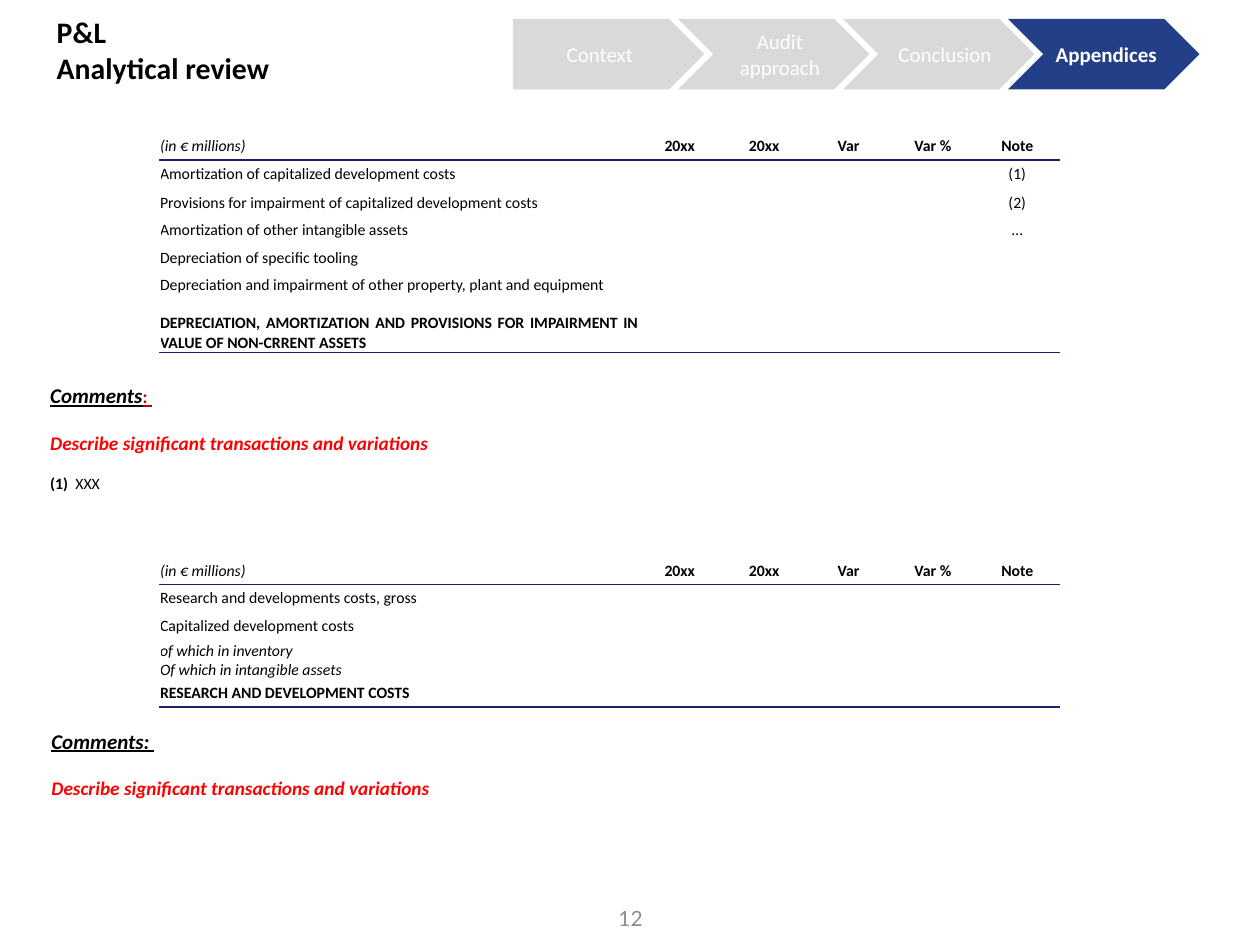
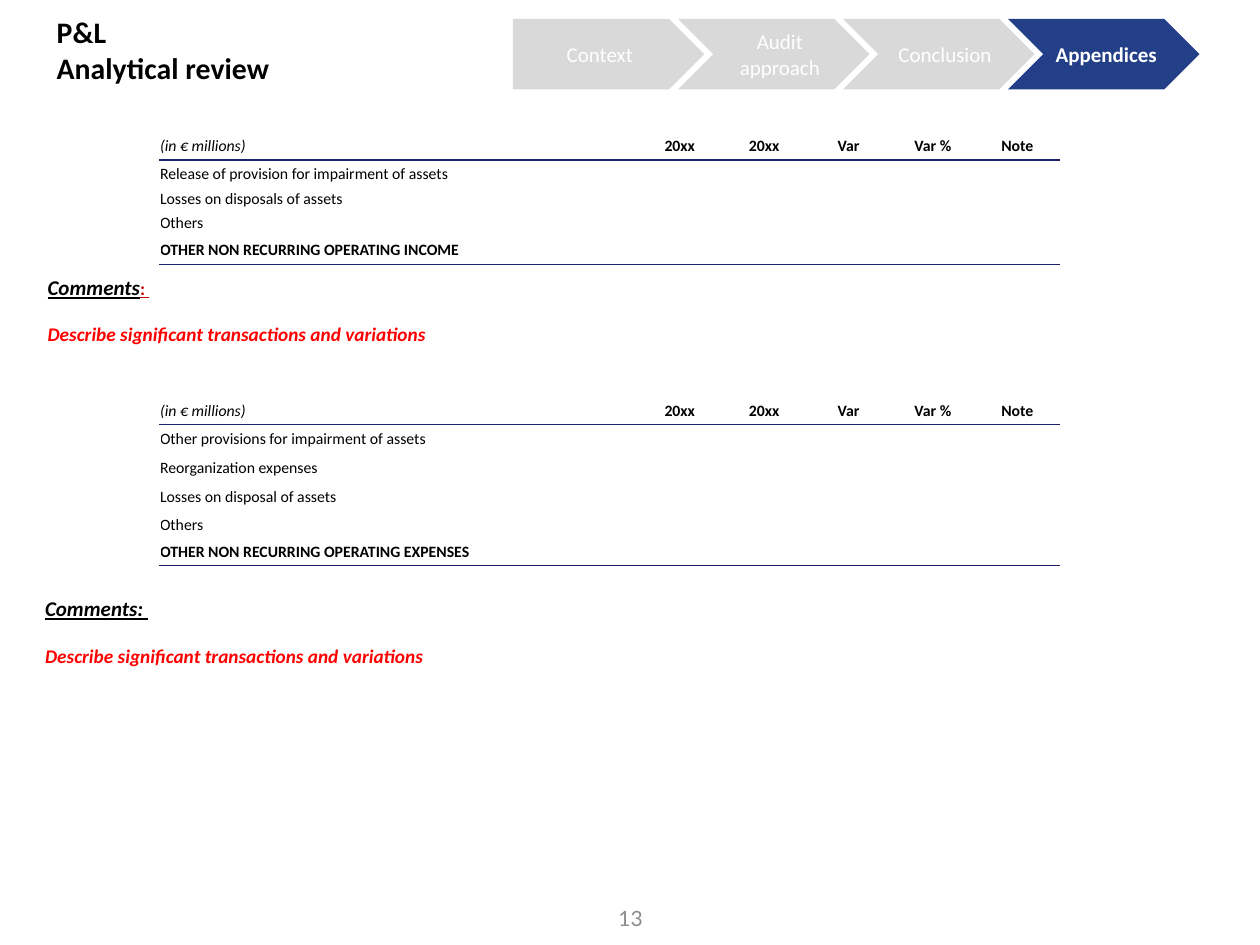
"""Build two appendix slides of an analytical review: tables, comments and a progress band."""
from dataclasses import dataclass

from lxml.etree import SubElement
from pptx import Presentation
from pptx.dml.color import RGBColor
from pptx.enum.shapes import MSO_SHAPE as Preset
from pptx.enum.text import MSO_ANCHOR as Anchor, MSO_AUTO_SIZE as AutoSize, PP_ALIGN as Align
from pptx.oxml.ns import qn
from pptx.util import Inches, Pt

BLACK, WHITE, RED, DARK_RED = "000000", "FFFFFF", "FF0000", "C00000"
NAVY, BLUE, PALE_GREY, PAGE_GREY = "1F206A", "223F87", "D9D9D9", "8C8C8C"
BODY_FONT, PAGE_FONT = "Calibri", "Lato"
TITLE_LINES = ("P&L", "Analytical review")
STEPS = ("Context", "Audit approach", "Conclusion", "Appendices")
CURRENT_STEP = "Appendices"
STEP_LEFT, STEP_PITCH = 4.07, 1.31
TABLE_LEFT, LABEL_WIDTH, VALUE_WIDTH = 1.27, 3.79, 0.67
VALUE_HEADINGS = ("20xx", "20xx", "Var", "Var %", "Note")
PROMPT = "Describe significant transactions and variations"


@dataclass(frozen=True)
class Line:
    """One table line below the heading."""
    label: str
    height: float
    note: str = ""
    bold: bool = False
    italic: bool = False


@dataclass(frozen=True)
class Review:
    """A table with the comments that belong to it."""
    table_top: float
    lines: tuple[Line, ...]
    comments_left: float
    comments_top: float
    red_colon: bool = False
    remark: str = ""


@dataclass(frozen=True)
class Page:
    """The page number and the reviews of one slide."""
    number: int
    reviews: tuple[Review, ...]


PAGES = (
    Page(12, (
        Review(1.05, (
            Line("Amortization of capitalized development costs", 0.23, "(1)"),
            Line("Provisions for impairment of capitalized development costs", 0.22, "(2)"),
            Line("Amortization of other intangible assets", 0.21, "…"),
            Line("Depreciation of specific tooling", 0.24),
            Line("Depreciation and impairment of other property, plant and equipment", 0.19),
            Line("", 0.13),
            Line("DEPRECIATION, AMORTIZATION AND PROVISIONS FOR IMPAIRMENT IN VALUE OF "
                 "NON-CRRENT ASSETS", 0.31, bold=True),
        ), 0.3, 2.99, red_colon=True, remark="XXX"),
        Review(4.42, (
            Line("Research and developments costs, gross", 0.21),
            Line("Capitalized development costs", 0.24),
            Line("of which in inventory", 0.15, italic=True),
            Line("Of which in intangible assets", 0.15, italic=True),
            Line("RESEARCH AND DEVELOPMENT COSTS", 0.22, bold=True),
        ), 0.31, 5.73),
    )),
    Page(13, (
        Review(1.05, (
            Line("Release of provision for impairment of assets", 0.23),
            Line("Losses on disposals of assets", 0.16),
            Line("Others", 0.22),
            Line("OTHER NON RECURRING OPERATING INCOME", 0.22, bold=True),
        ), 0.28, 2.13, red_colon=True),
        Review(3.15, (
            Line("Other provisions for impairment of assets", 0.23),
            Line("Reorganization expenses", 0.23),
            Line("Losses on disposal of assets", 0.23),
            Line("Others", 0.21),
            Line("OTHER NON RECURRING OPERATING EXPENSES", 0.22, bold=True),
        ), 0.26, 4.68),
    )),
)


def rgb(colour: str) -> RGBColor:
    """Turn a hex string into a colour."""
    return RGBColor.from_string(colour)


def style(font, size: float, colour: str = BLACK, bold: bool = False, italic: bool = False,
          underline: bool = False, name: str = BODY_FONT) -> None:
    """Format the font of a paragraph or a run."""
    font.name, font.size = name, Pt(size)
    font.bold, font.italic, font.underline = bold, italic, underline
    font.color.rgb = rgb(colour)


def add_run(paragraph, text: str, size: float, **options) -> None:
    """Append a formatted run to a paragraph."""
    run = paragraph.add_run()
    run.text = text
    style(run.font, size, **options)


def add_text_box(slide, left: float, top: float, width: float, height: float):
    """Add a wrapping text box and return its text frame."""
    box = slide.shapes.add_textbox(Inches(left), Inches(top), Inches(width), Inches(height))
    box.text_frame.word_wrap = True
    return box.text_frame


def draw_title(slide) -> None:
    """Move and format the title placeholder."""
    title = slide.shapes.title
    title.left, title.top = Inches(0.35), Inches(0.06)
    title.width, title.height = Inches(9.17), Inches(0.93)
    frame = title.text_frame
    frame.text = "\n".join(TITLE_LINES)
    frame.vertical_anchor, frame.auto_size = Anchor.TOP, AutoSize.NONE
    for paragraph in frame.paragraphs:
        paragraph.alignment = Align.LEFT
        style(paragraph.font, 17, bold=True)


def draw_steps(slide) -> None:
    """Draw the band of arrows with the current step highlighted."""
    for index, step in enumerate(STEPS):
        current = step == CURRENT_STEP
        shape = slide.shapes.add_shape(
            Preset.CHEVRON if index else Preset.PENTAGON,
            Inches(STEP_LEFT + index * STEP_PITCH), Inches(0.15), Inches(1.52), Inches(0.56))
        shape.shadow.inherit = False
        shape.fill.solid()
        shape.fill.fore_color.rgb = rgb(BLUE if current else PALE_GREY)
        shape.line.fill.background()
        frame = shape.text_frame
        frame.word_wrap, frame.vertical_anchor = True, Anchor.MIDDLE
        frame.margin_left = frame.margin_top = frame.margin_bottom = Inches(0.1)
        frame.margin_right = Inches(0 if index else 0.1)
        paragraph = frame.paragraphs[0]
        paragraph.text = step
        paragraph.alignment = Align.LEFT if current else Align.CENTER
        style(paragraph.font, 12, WHITE, bold=current)


def add_border(cell, side: str) -> None:
    """Draw a navy rule on the top (lnT) or bottom (lnB) side of a cell."""
    border = SubElement(cell._tc.get_or_add_tcPr(), qn(f"a:{side}"), w=str(Pt(1)))
    fill = SubElement(border, qn("a:solidFill"))
    SubElement(fill, qn("a:srgbClr"), val=NAVY)


def draw_table(slide, review: Review) -> None:
    """Draw the heading and the lines of a review as a table."""
    heading = Line("(in € millions)", 0.22, italic=True)
    lines = (heading, *review.lines)
    widths = (LABEL_WIDTH, *[VALUE_WIDTH] * len(VALUE_HEADINGS))
    table = slide.shapes.add_table(
        len(lines), len(widths), Inches(TABLE_LEFT), Inches(review.table_top),
        Inches(sum(widths)), Inches(sum(line.height for line in lines))).table
    table.first_row = table.horz_banding = False
    for column, width in zip(table.columns, widths):
        column.width = Inches(width)
    for index, line in enumerate(lines):
        table.rows[index].height = Inches(line.height)
        values = ("", "", "", "", line.note) if index else VALUE_HEADINGS
        for position, text in enumerate((line.label, *values)):
            cell = table.cell(index, position)
            cell.margin_left = cell.margin_right = cell.margin_top = cell.margin_bottom = 0
            cell.vertical_anchor = Anchor.MIDDLE
            if index == 1:
                add_border(cell, "lnT")
            if index in (0, len(lines) - 1):
                add_border(cell, "lnB")
            cell.fill.background()
            paragraph = cell.text_frame.paragraphs[0]
            paragraph.text = text
            paragraph.alignment = Align.CENTER if position else Align.JUSTIFY
            style(paragraph.font, 9 if line.label else 6,
                  bold=line.bold or (index == 0 and position > 0),
                  italic=line.italic and position == 0)


def draw_comments(slide, review: Review) -> None:
    """Write the comments heading, the prompt and any numbered remark."""
    frame = add_text_box(slide, review.comments_left, review.comments_top, 9.13, 0.99)
    heading = frame.paragraphs[0]
    heading.alignment = Align.JUSTIFY
    text = "Comments" if review.red_colon else "Comments: "
    add_run(heading, text, 12, bold=True, italic=True, underline=True)
    if review.red_colon:
        add_run(heading, ": ", 10.5, colour=DARK_RED, bold=True, underline=True)
    prompt = frame.add_paragraph()
    prompt.text, prompt.alignment, prompt.space_before = PROMPT, Align.JUSTIFY, Pt(13)
    style(prompt.font, 11, RED, bold=True, italic=True)
    if review.remark:
        remark = frame.add_paragraph()
        remark.alignment, remark.space_before = Align.LEFT, Pt(11)
        tabs = SubElement(remark._p.get_or_add_pPr(), qn("a:tabLst"))
        SubElement(tabs, qn("a:tab"), pos=str(Inches(0.2)), algn="l")
        add_run(remark, "(1)\t", 9, bold=True)
        add_run(remark, review.remark, 9)


def draw_page_number(slide, number: int) -> None:
    """Write the page number at the foot of the slide."""
    frame = add_text_box(slide, 2.95, 7.09, 2.25, 0.4)
    frame.vertical_anchor = Anchor.MIDDLE
    paragraph = frame.paragraphs[0]
    paragraph.text, paragraph.alignment = str(number), Align.RIGHT
    style(paragraph.font, 12, PAGE_GREY, name=PAGE_FONT)


def main() -> None:
    """Build and save the presentation."""
    presentation = Presentation()
    presentation.slide_width, presentation.slide_height = Inches(10), Inches(7.5)
    title_only = presentation.slide_layouts[5]
    for page in PAGES:
        slide = presentation.slides.add_slide(title_only)
        draw_title(slide)
        for review in page.reviews:
            draw_table(slide, review)
            draw_comments(slide, review)
        draw_steps(slide)
        draw_page_number(slide, page.number)
    presentation.save("out.pptx")


if __name__ == "__main__":
    main()
